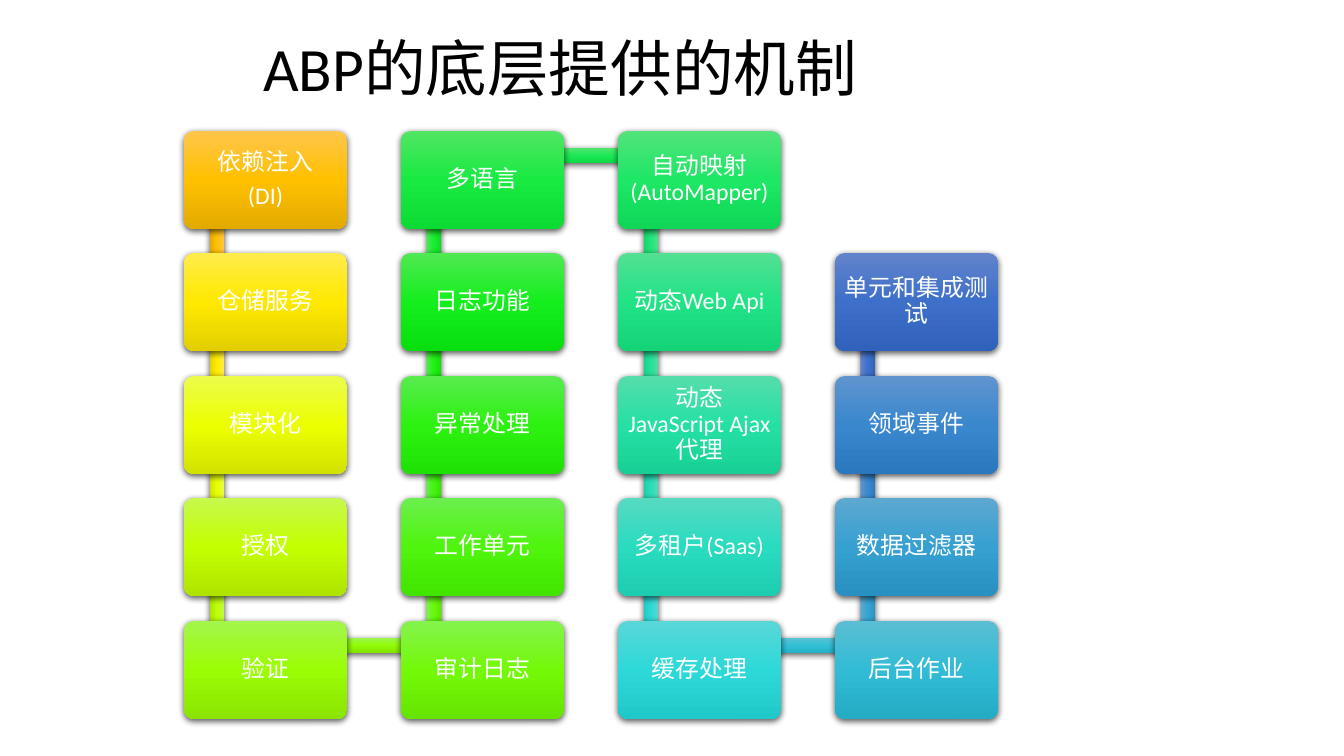
from pptx import Presentation
from pptx.dml.color import RGBColor
from pptx.enum.shapes import MSO_SHAPE as SHAPE
from pptx.enum.text import MSO_ANCHOR as ANCHOR, PP_ALIGN as ALIGN
from pptx.oxml import parse_xml
from pptx.oxml.ns import nsdecls, qn
from pptx.util import Pt

TITLE = "ABP的底层提供的机制"
STEPS = [
    (["依赖注入", "(DI)"], "FFC64B FFC000 E3AB00", "FFC64B FFC000 E3AB00"),
    (["仓储服务"], "FFEB4B FFE900 E3CF00", "FFED4B FFEB01 E3D200"),
    (["模块化"], "EBFC4B ECFF01 D3E300", "E7FC4B E7FF01 CEE400"),
    (["授权"], "C6F94C C4FF01 AFE400", "BFF84C BCFF02 A8E400"),
    (["验证"], "A3F64C 9BFD04 8AE400", "9CF54C 91FC05 82E400"),
    (["审计日志"], "85F34D 73F908 66E500", "7DF24D 68F80A 5BE500"),
    (["工作单元"], "6BEF4D 4FF50D 41E500", "64EE4E 42F40E 35E501"),
    (["异常处理"], "58EC4E 2DF211 1FE204", "53EB4F 1FF012 12E105"),
    (["日志功能"], "4FE952 15EE1D 08DF0F", "50E859 17EC2F 0ADD21"),
    (["多语言"], "51E663 19EA42 0CDB34", "51E46F 1BE955 0ED947"),
    (["自动映射(AutoMapper)"], "52E37B 1DE765 10D757", "53E189 20E579 12D56A"),
    (["动态Web Api"], "53E093 21E386 14D477", "54DEA3 24E199 16D18B"),
    (["动态JavaScript Ajax代理"], "55DDAB 25E0A4 18D095", "56DBBB 28DDB7 1BCEA8"),
    (["多租户(Saas)"], "57DAC2 29DCBF 1CCDB0", "58D8D2 2DD9D3 1FCAC3"),
    (["缓存处理"], "59D7D7 2DD9D8 20C9C9", "5AC2D4 31C0D6 23B1C6"),
    (["后台作业"], "5BBED4 32BBD5 24ACC5", "5CAAD1 35A3D2 2794C2"),
    (["数据过滤器"], "5DA8D1 36A0D1 2891C2", "5F95CE 3988CE 2B79BF"),
    (["领域事件"], "5F94CE 3A87CE 2C78BE", "6183CB 3E70CA 3062BB"),
    (["单元和集成测试"], "6183CB 3E70CA 3062BB", None),
]
ROWS = 5
LEFT, TOP = 184, 131
COL_STEP, TWO_ROWS = 217, 245
BOX_W, BOX_H, INSET = 163, 98, 7
LINK_H, LINK_V = 15, 122
LINK_X, LINK_Y, LINK_MID = 33, 17, 86


def px(n):
    return round(n * 914400 / 100.8)


def color(value):
    return RGBColor.from_string(value)


def set_all(obj, values):
    for name, value in values.items():
        setattr(obj, name, value)


def write(p, text, size, fill, **layout):
    set_all(p, {"line_spacing": 0.9, **layout})
    r = p.add_run()
    r.text = text
    set_all(r.font, {"size": Pt(size), "name": "Calibri"})
    r.font.color.rgb = color(fill)


def add_block(slide, kind, box, stops, rotation=0):
    s = slide.shapes.add_shape(kind, *map(px, box))
    s.rotation = rotation
    s.line.fill.background()
    s.shadow.inherit = False
    gs = "".join(f'<a:gs pos="{i * 50000}"><a:srgbClr val="{c}"/></a:gs>'
                 for i, c in enumerate(stops.split()))
    spPr = s._element.spPr
    spPr.find(qn("a:ln")).addprevious(parse_xml(
        f'<a:gradFill {nsdecls("a")} rotWithShape="1"><a:gsLst>{gs}</a:gsLst>'
        '<a:lin ang="5400000" scaled="0"/></a:gradFill>'))
    spPr.find(qn("a:effectLst")).append(parse_xml(
        f'<a:outerShdw {nsdecls("a")} blurRad="{Pt(4.5)}" dist="{Pt(1.5)}" '
        'dir="5400000" algn="ctr" rotWithShape="0"><a:srgbClr val="000000">'
        '<a:alpha val="63000"/></a:srgbClr></a:outerShdw>'))
    return s


def add_link(slide, x, y, col, row, turns, stops):
    if turns:
        box, rotation = (x + LINK_X, y + LINK_Y, COL_STEP, LINK_H), 0
    else:
        upper = y if col % 2 == 0 else TOP + (row - 1) * TWO_ROWS // 2
        box = (x + LINK_X - LINK_V / 2, upper + LINK_MID - LINK_H / 2,
               LINK_V, LINK_H)
        rotation = 270 if col % 2 else 90
    add_block(slide, SHAPE.RECTANGLE, box, stops, rotation)


def add_step(slide, x, y, lines, stops):
    s = add_block(slide, SHAPE.ROUNDED_RECTANGLE, (x, y, BOX_W, BOX_H), stops)
    s.adjustments[0] = 0.1
    tf = s.text_frame
    set_all(tf, {"word_wrap": True, "vertical_anchor": ANCHOR.MIDDLE})
    set_all(tf, {f"margin_{side}": px(INSET)
                 for side in ("left", "top", "right", "bottom")})
    for i, line in enumerate(lines):
        p = tf.add_paragraph() if i else tf.paragraphs[0]
        write(p, line, 17, "FFFFFF", alignment=ALIGN.CENTER, space_after=Pt(6))


def main():
    prs = Presentation()
    set_all(prs, {"slide_width": px(1344), "slide_height": px(756)})
    slide = prs.slides.add_slide(prs.slide_layouts[5])
    title = slide.shapes.title
    set_all(title, {"left": px(253), "top": px(29),
                    "width": px(678), "height": px(85)})
    title.text_frame.vertical_anchor = ANCHOR.MIDDLE
    write(title.text_frame.paragraphs[0], TITLE, 44, "000000",
          alignment=ALIGN.LEFT)
    for i, (lines, stops, link_stops) in enumerate(STEPS):
        col, place = divmod(i, ROWS)
        row = ROWS - 1 - place if col % 2 else place
        x, y = LEFT + col * COL_STEP, TOP + row * TWO_ROWS // 2
        if link_stops:
            add_link(slide, x, y, col, row, place == ROWS - 1, link_stops)
        add_step(slide, x, y, lines, stops)
    prs.save("out.pptx")


if __name__ == "__main__":
    main()
